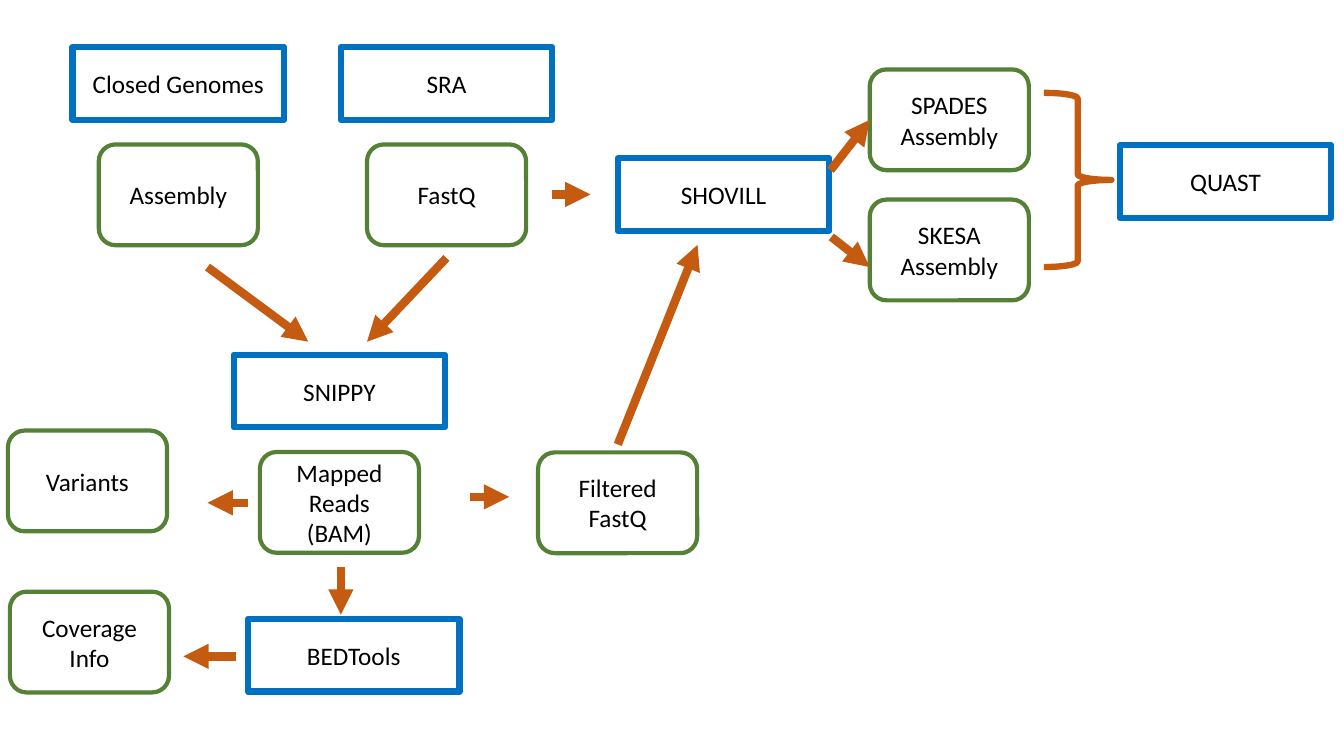
from dataclasses import dataclass

from lxml import etree
from pptx import Presentation
from pptx.dml.color import RGBColor
from pptx.enum.shapes import MSO_CONNECTOR, MSO_SHAPE
from pptx.enum.text import MSO_ANCHOR, PP_ALIGN
from pptx.oxml.ns import qn
from pptx.util import Cm, Pt

RECT, ROUNDED, BRACE = MSO_SHAPE.RECTANGLE, MSO_SHAPE.ROUNDED_RECTANGLE, MSO_SHAPE.RIGHT_BRACE
STRAIGHT = MSO_CONNECTOR.STRAIGHT
MIDDLE, CENTER = MSO_ANCHOR.MIDDLE, PP_ALIGN.CENTER


@dataclass(frozen=True)
class Theme:
    tool: RGBColor = RGBColor(0x00, 0x70, 0xC0)
    data: RGBColor = RGBColor(0x54, 0x81, 0x35)
    flow: RGBColor = RGBColor(0xC5, 0x5A, 0x11)
    text: RGBColor = RGBColor(0, 0, 0)
    font: str = "Calibri"
    size: float = 18
    tool_line: float = 4.5
    data_line: float = 3
    arrow_line: float = 6


THEME = Theme()
TOOL_W, TOOL_H = 5.33, 1.83
DATA_W, DATA_H = 4.01, 2.54
DATA_DROP = 2.45  # from the top of a tool to the top of the data below it


def write(sp, text, *, size=THEME.size, color=THEME.text, font=THEME.font, align=CENTER):
    tf = sp.text_frame
    tf.word_wrap = True
    tf.vertical_anchor = MIDDLE
    tf.text = text
    for p in tf.paragraphs:
        p.alignment = align
        for r in p.runs:
            r.font.size, r.font.name = Pt(size), font
            r.font.color.rgb = color


def outline(s, kind, x, y, w, h, color, width):
    sp = s.shapes.add_shape(kind, Cm(x), Cm(y), Cm(w), Cm(h))
    sp.shadow.inherit = False
    sp.fill.background()
    sp.line.color.rgb = color
    sp.line.width = Pt(width)
    return sp


def tool(s, text, x, y):
    write(outline(s, RECT, x, y, TOOL_W, TOOL_H, THEME.tool, THEME.tool_line), text)


def data(s, text, x, y):
    write(outline(s, ROUNDED, x, y, DATA_W, DATA_H, THEME.data, THEME.data_line), text)


def tool_with_data(s, tool_text, data_text, x, y):
    tool(s, tool_text, x, y)
    data(s, data_text, x + (TOOL_W - DATA_W) / 2, y + DATA_DROP)


def arrows(s, x, y, ends):
    for x1, y1, x2, y2 in ends:
        line = s.shapes.add_connector(STRAIGHT, Cm(x + x1), Cm(y + y1), Cm(x + x2), Cm(y + y2))
        line.line.color.rgb = THEME.flow
        line.line.width = Pt(THEME.arrow_line)
        etree.SubElement(line.line._get_or_add_ln(), qn("a:tailEnd"), type="triangle")
        etree.SubElement(line._element.spPr, qn("a:effectLst"))


def inputs(s, x, y):
    sources = [("Closed Genomes", "Assembly"), ("SRA", "FastQ")]
    for i, (source, files) in enumerate(sources):
        tool_with_data(s, source, files, x + i * 6.76, y)
    arrows(s, x, y, [
        (3.4, 5.54, 5.94, 7.42),     # assembly to mapping
        (9.42, 5.31, 7.42, 7.42),    # reads to mapping
        (12.09, 3.71, 13.05, 3.71),  # reads to assembler
    ])


def mapping(s, x, y):
    tool_with_data(s, "SNIPPY", "Mapped Reads (BAM)", x + 5.69, y)
    tool(s, "BEDTools", x + 6.05, y + 6.66)
    data(s, "Variants", x, y + 1.91)
    data(s, "Coverage Info", x + 0.05, y + 5.97)
    data(s, "Filtered\nFastQ", x + 13.36, y + 2.46)
    arrows(s, x, y, [
        (6.05, 3.73, 5.03, 3.73),     # to variants
        (8.39, 5.36, 8.39, 6.55),     # to coverage tool
        (5.74, 7.6, 4.42, 7.6),       # to coverage info
        (11.64, 3.58, 12.63, 3.58),   # to filtered reads
        (15.37, 2.26, 17.38, -2.77),  # filtered reads to assembler
    ])


def assembly(s, x, y):
    tool(s, "SHOVILL", x, y + 2.24)
    for i, name in enumerate(["SPADES", "SKESA"]):
        data(s, f"{name} Assembly", x + 6.35, y + i * 3.28)
    arrows(s, x, y, [(5.36, 2.54, 6.35, 1.27), (5.38, 4.22, 6.35, 4.98)])
    # Both assemblies lead to the quality check
    outline(s, BRACE, x + 10.74, y + 0.59, 1.7, 4.39, THEME.flow, THEME.tool_line)
    tool(s, "QUAST", x + 12.65, y + 1.91)


prs = Presentation()
prs.slide_width, prs.slide_height = Cm(33.87), Cm(19.05)
s = prs.slides.add_slide(prs.slide_layouts[6])
inputs(s, 1.83, 1.19)
mapping(s, 0.2, 8.94)
assembly(s, 15.57, 1.75)
prs.save("out.pptx")
